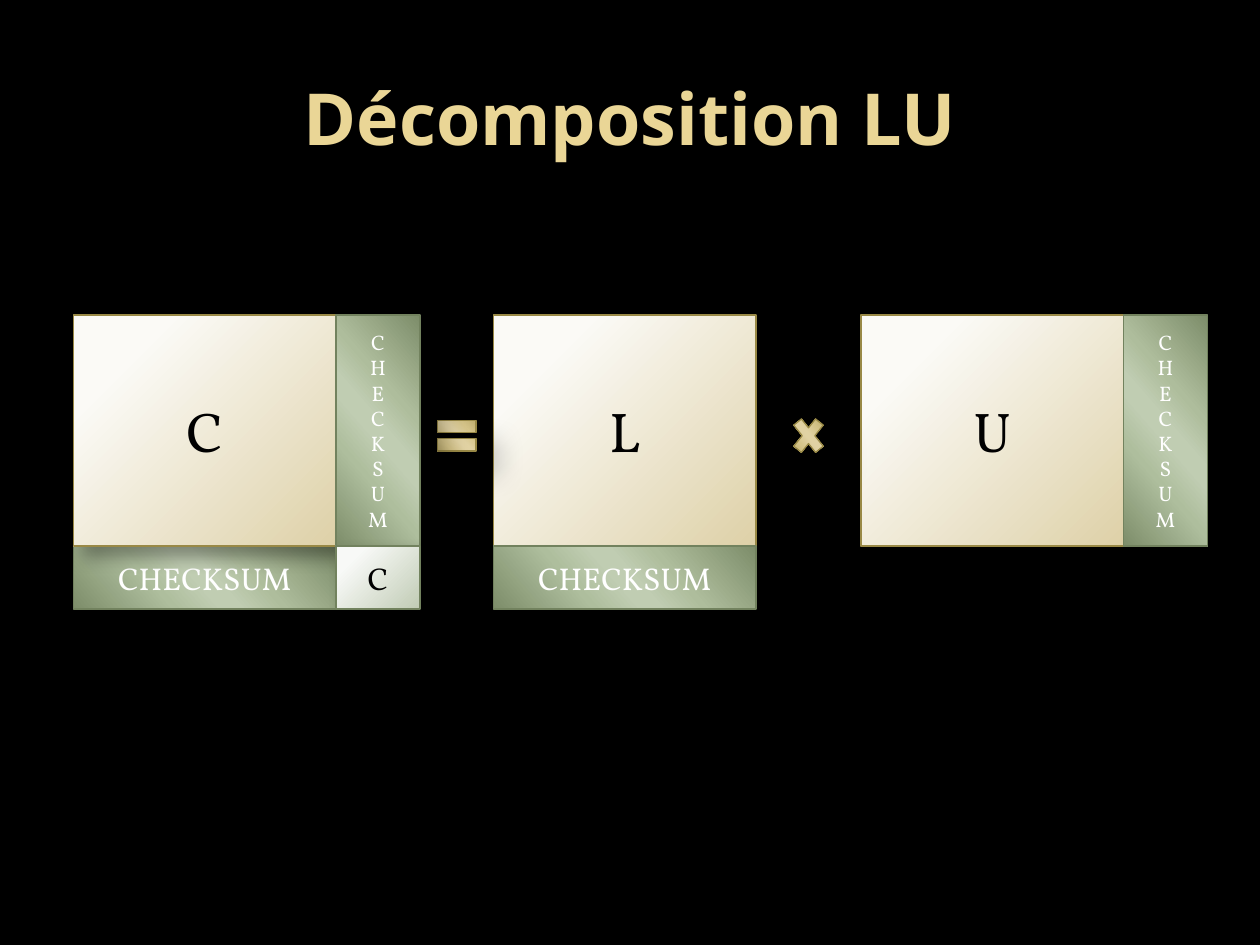
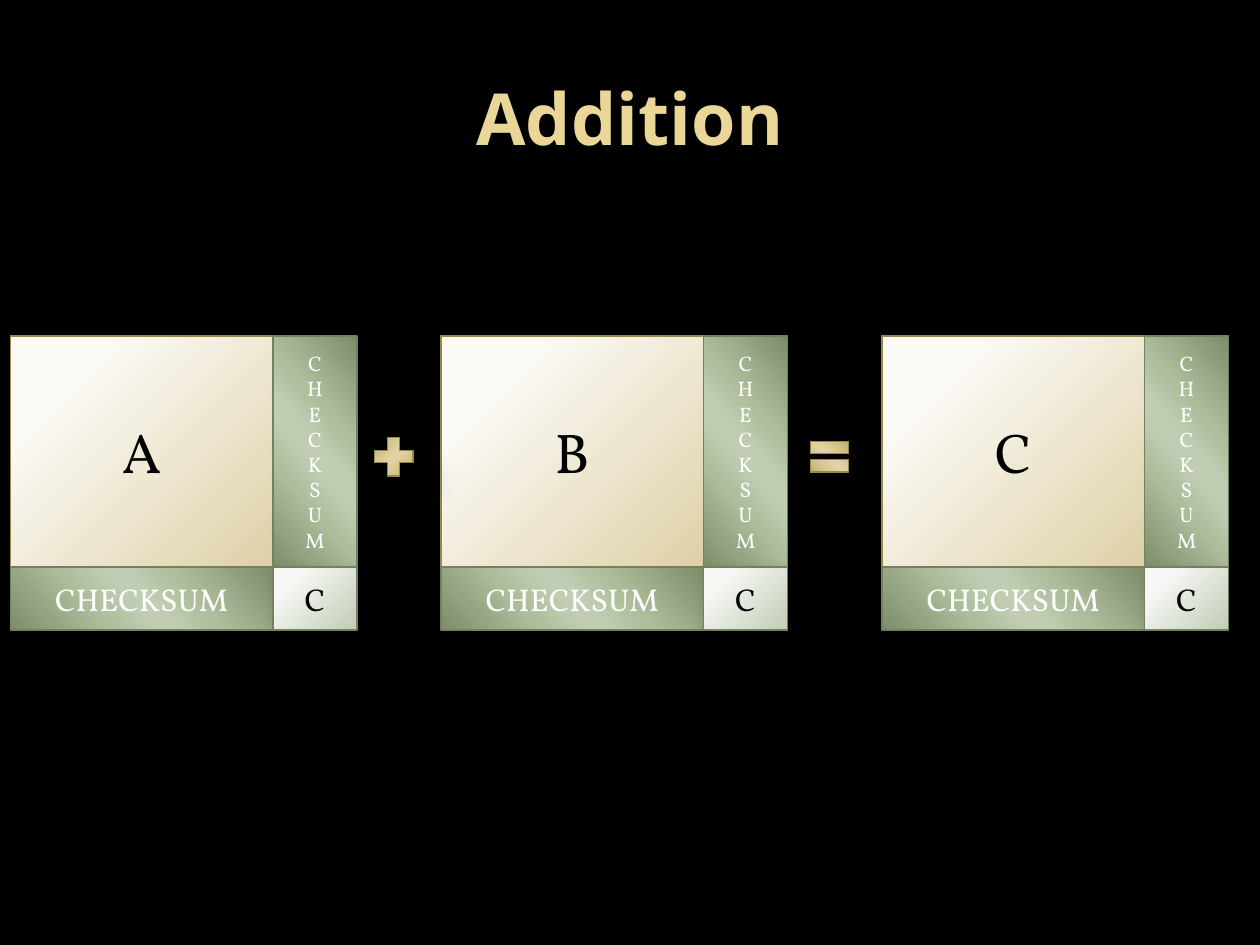
from lxml import etree
from pptx import Presentation
from pptx.dml.color import RGBColor
from pptx.enum.shapes import MSO_SHAPE
from pptx.enum.text import MSO_ANCHOR, PP_ALIGN
from pptx.oxml.ns import qn
from pptx.util import Inches, Pt

PROCESS, RECTANGLE = MSO_SHAPE.FLOWCHART_PROCESS, MSO_SHAPE.RECTANGLE
PLUS, TIMES, EQUALS = MSO_SHAPE.MATH_PLUS, MSO_SHAPE.MATH_MULTIPLY, MSO_SHAPE.MATH_EQUAL
CENTER, MIDDLE = PP_ALIGN.CENTER, MSO_ANCHOR.MIDDLE

COLORS = {
    "background": "000000", "title": "EAD696", "dark": "000000", "light": "FFFFFF",
    "shadow": "000000", "gold_line": "998946", "green_line": "72825E",
}
TITLE_FONT, BODY_FONT = "Noto Sans", "Vollkorn"

# Gradient stops: position in percent, colour
GLOW_GOLD = [(20, "FBFAF6"), (100, "DED1A8")]
GLOW_GREEN = [(20, "F8F9F7"), (100, "C1CCB5")]
SHEEN_GREEN = [(0, "7D8D6A"), (33, "AEBD9C"), (47, "C0CDB2"),
               (53, "C0CDB2"), (68, "AEBE9D"), (100, "7D8D6A")]
SHEEN_GOLD = [(0, "A59452"), (33, "D5C489"), (47, "E1D2A3"),
              (53, "E1D2A3"), (68, "D6C58A"), (100, "A59452")]

# Shadows: opacity in percent, blur and distance in points, angle
SOFT_SHADOW = (35, 10.2, 8, 45)
WIDE_SHADOW = (26, 15, 18, 45)

# Grid of 120 columns by 90 rows; matrix parts are sized in grid cells
COLUMNS, ROWS = 120, 90
BODY_WIDTH, BODY_HEIGHT = 25, 22
SIDE_WIDTH, BASE_HEIGHT = 8, 6
SIGN_SIZE = 5
CHECKSUM = "CHECKSUM"


def add_node(parent, tag, **attributes):
    return etree.SubElement(parent, qn(f"a:{tag}"),
                            {name: str(value) for name, value in attributes.items()})


class MatrixDeck:
    def __init__(self):
        self.deck = Presentation()
        self.deck.slide_width, self.deck.slide_height = Inches(10), Inches(7.5)
        self.slide = None
        self.top = 0

    def place(self, column, row, width, height):
        across = self.deck.slide_width / COLUMNS
        down = self.deck.slide_height / ROWS
        return [round(n) for n in
                (column * across, row * down, width * across, height * down)]

    def start_slide(self, title, top):
        self.top = top
        self.slide = self.deck.slides.add_slide(self.deck.slide_layouts[6])
        backdrop = self.slide.background.fill
        backdrop.solid()
        backdrop.fore_color.rgb = RGBColor.from_string(COLORS["background"])
        heading = self.slide.shapes.add_textbox(*self.place(6, 3.6, 108, 15))
        self.label(heading, [title], 41, "title", TITLE_FONT, bold=True)

    def label(self, holder, lines, size, color, font=BODY_FONT, bold=False):
        frame = holder.text_frame
        frame.word_wrap = True
        frame.vertical_anchor = MIDDLE
        frame.text = "\n".join(lines)
        for paragraph in frame.paragraphs:
            paragraph.alignment = CENTER
            paragraph.font.name, paragraph.font.size = font, Pt(size)
            paragraph.font.bold = bold
            paragraph.font.color.rgb = RGBColor.from_string(COLORS[color])

    def block(self, kind, box, stops, line, glow=False):
        shape = self.slide.shapes.add_shape(kind, *self.place(*box))
        shape.line.color.rgb = RGBColor.from_string(COLORS[line])
        shape.line.width = Pt(0.75)
        self.shade(shape, stops, glow)
        self.cast_shadow(shape, *(SOFT_SHADOW if glow else WIDE_SHADOW))
        return shape

    def shade(self, shape, stops, glow):
        gradient = etree.Element(qn("a:gradFill"), rotWithShape="1")
        stop_list = add_node(gradient, "gsLst")
        for position, color in stops:
            add_node(add_node(stop_list, "gs", pos=position * 1000), "srgbClr", val=color)
        if glow:
            circle = add_node(gradient, "path", path="circle")
            add_node(circle, "fillToRect", l=-15000, t=-15000, r=115000, b=115000)
        else:
            add_node(gradient, "lin", ang=139 * 60000, scaled=1)
        shape._element.spPr.find(qn("a:prstGeom")).addnext(gradient)

    def cast_shadow(self, shape, opacity, blur, distance, angle):
        shape.shadow.inherit = False
        effects = shape._element.spPr.find(qn("a:effectLst"))
        shadow = add_node(effects, "outerShdw", blurRad=Pt(blur), dist=Pt(distance),
                          dir=angle * 60000, algn="tl", rotWithShape=0)
        add_node(add_node(shadow, "srgbClr", val=COLORS["shadow"]),
                 "alpha", val=opacity * 1000)

    def body(self, name, column):
        box = (column, self.top, BODY_WIDTH, BODY_HEIGHT)
        self.label(self.block(PROCESS, box, GLOW_GOLD, "gold_line", glow=True),
                   [name], 32, "dark")

    def side(self, name, column):
        box = (column + BODY_WIDTH, self.top, SIDE_WIDTH, BODY_HEIGHT)
        self.label(self.block(PROCESS, box, SHEEN_GREEN, "green_line"),
                   CHECKSUM, 12, "light")

    def base(self, name, column):
        box = (column, self.top + BODY_HEIGHT, BODY_WIDTH, BASE_HEIGHT)
        self.label(self.block(PROCESS, box, SHEEN_GREEN, "green_line"),
                   [CHECKSUM], 18, "light")

    def corner(self, name, column):
        box = (column + BODY_WIDTH, self.top + BODY_HEIGHT, SIDE_WIDTH, BASE_HEIGHT)
        self.label(self.block(RECTANGLE, box, GLOW_GREEN, "green_line", glow=True),
                   ["C"], 18, "dark")

    def matrix(self, name, column, parts=None):
        """Stack the parts in the given order, from back to front."""
        for part in parts or (self.body, self.base, self.side, self.corner):
            part(name, column)

    def sign(self, kind, column, width=SIGN_SIZE, mirrored=False):
        box = (column, self.top + 9, width, SIGN_SIZE)
        shape = self.block(kind, box, SHEEN_GOLD, "gold_line")
        if mirrored:
            shape._element.spPr.find(qn("a:xfrm")).set("flipH", "1")


def main():
    show = MatrixDeck()

    # LU decomposition: C = L × U
    show.start_slide("Décomposition LU", top=30)
    show.matrix("L", 47, (show.body, show.base))
    show.matrix("U", 82, (show.body, show.side))
    show.sign(TIMES, 75, width=4)
    show.sign(EQUALS, 41)
    show.matrix("C", 7, (show.base, show.body, show.side, show.corner))

    # Addition: A + B = C
    show.start_slide("Addition", top=32)
    show.matrix("A", 1)
    show.matrix("B", 42)
    show.sign(EQUALS, 76.5)
    show.matrix("C", 84)
    show.sign(PLUS, 35, mirrored=True)

    show.deck.save("out.pptx")


if __name__ == "__main__":
    main()
